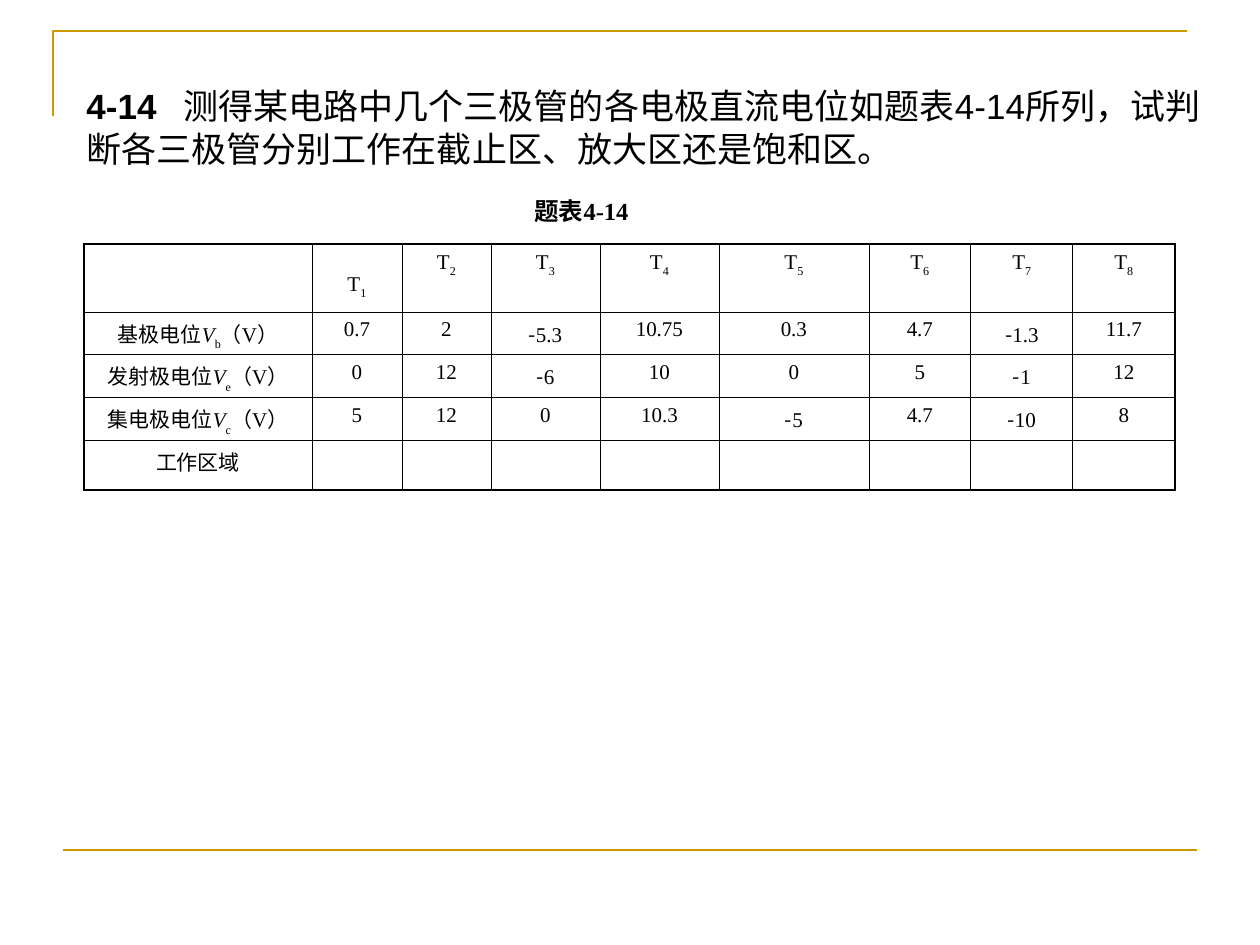
from pptx import Presentation, util as u
from pptx.dml.color import RGBColor
from pptx.enum import shapes, text
from pptx.oxml import parse_xml
from pptx.oxml.ns import nsdecls
from lxml import etree


class Theme:
    gold = RGBColor(0xCC, 0x99, 0x00)
    ink = RGBColor(0, 0, 0)
    sans, serif, chinese = "Arial", "Times New Roman", "Noto Sans CJK SC"
    heading, caption, body = u.Pt(20), u.Pt(14), u.Pt(12)
    rule, inner, outer = u.Pt(1.5), u.Pt(0.45), u.Pt(0.96)


PX = 914400 / 126


def px(*lengths):
    """Turn px into whole EMU."""
    return [round(length * PX) for length in lengths]


def fill_paragraph(para, spans, latin, size):
    """Add (text, style) spans; style is "", "bold", "italic", "sub" or "minus"."""
    for words, style in spans:
        span = para.add_run()
        span.text = words
        if style == "bold":
            span.font.bold = True
        elif style == "italic":
            span.font.italic = True
        elif style == "sub":
            span._r.get_or_add_rPr().set("baseline", "-30000")
        elif style == "minus":
            span.font.name = Theme.chinese
    font = para.font
    font.size, font.name = size, latin
    font.color.rgb = Theme.ink
    font._rPr.append(parse_xml(f'<a:ea {nsdecls("a")} typeface="{Theme.chinese}"/>'))


deck = Presentation()
deck.slide_width, deck.slide_height = px(1260, 945)
page = deck.slides.add_slide(deck.slide_layouts[6])

# Gold corner and bottom rule
builder = page.shapes.build_freeform(53, 116, scale=PX)
builder.add_line_segments([(53, 31), (1187, 31)], close=False)
corner = builder.convert_to_shape()
corner.shadow.inherit = False
corner.fill.background()
bottom_rule = page.shapes.add_connector(shapes.MSO_CONNECTOR.STRAIGHT, *px(63, 850, 1197, 850))
etree.SubElement(bottom_rule._element.spPr,
                 "{http://schemas.openxmlformats.org/drawingml/2006/main}effectLst")
for rule in (corner, bottom_rule):
    rule.line.color.rgb = Theme.gold
    rule.line.width = Theme.rule

# Question
question = page.shapes.add_textbox(*px(74, 76, 1142, 97)).text_frame
question.word_wrap = True
question.margin_top = px(9)[0]
para = question.paragraphs[0]
para.line_spacing = u.Pt(24)
para._p.get_or_add_pPr().append(parse_xml(
    f'<a:tabLst {nsdecls("a")}><a:tab pos="{px(97)[0]}" algn="l"/></a:tabLst>'))
fill_paragraph(para, [
    ("4-14\t", "bold"),
    ("测得某电路中几个三极管的各电极直流电位如题表4-14所列，"
     "试判断各三极管分别工作在截止区、放大区还是饱和区。", ""),
], Theme.sans, Theme.heading)

# Table caption
caption = page.shapes.add_textbox(*px(519, 189, 125, 43)).text_frame
caption.word_wrap = False
caption.vertical_anchor = text.MSO_ANCHOR.MIDDLE
para = caption.paragraphs[0]
para.alignment = text.PP_ALIGN.CENTER
fill_paragraph(para, [("题表4-14", "bold")], Theme.serif, Theme.caption)

# Table of electrode potentials
column_widths = [228, 90, 89, 109, 119, 150, 102, 102, 102]
row_heights = [68, 42, 43, 43, 50]
potentials = [
    ("基极电位", "b", ["0.7", "2", "-5.3", "10.75", "0.3", "4.7", "-1.3", "11.7"]),
    ("发射极电位", "e", ["0", "12", "-6", "10", "0", "5", "-1", "12"]),
    ("集电极电位", "c", ["5", "12", "0", "10.3", "-5", "4.7", "-10", "8"]),
]
rows = [[[]] + [[("T", ""), (str(n), "sub")] for n in range(1, 9)]]
for label, electrode, values in potentials:
    row = [[(label, ""), ("V", "italic"), (electrode, "sub"), ("（V）", "")]]
    for value in values:
        negative = value.startswith("-")
        row.append([("-", "minus"), (value[1:], "")] if negative else [(value, "")])
    rows.append(row)
rows.append([[("工作区域", "")]] + [[]] * 8)

last_row, last_column = len(row_heights) - 1, len(column_widths) - 1
table = page.shapes.add_table(len(row_heights), len(column_widths),
                              *px(84, 244, sum(column_widths), sum(row_heights))).table
table.first_row = table.horz_banding = False
for column, width in zip(table.columns, px(*column_widths)):
    column.width = width
for table_row, height in zip(table.rows, px(*row_heights)):
    table_row.height = height

for r, row in enumerate(rows):
    for c, spans in enumerate(row):
        cell = table.cell(r, c)
        edges = {"lnL": c == 0, "lnR": c == last_column, "lnT": r == 0, "lnB": r == last_row}
        for edge, outside in edges.items():
            width = Theme.outer if outside else Theme.inner
            cell._tc.get_or_add_tcPr().append(parse_xml(
                f'<a:{edge} {nsdecls("a")} w="{width}"><a:solidFill>'
                f'<a:srgbClr val="{Theme.ink}"/></a:solidFill></a:{edge}>'))
        cell.fill.background()
        cell.margin_left = cell.margin_right = u.Inches(0.1)
        cell.margin_top = cell.margin_bottom = u.Inches(0.05)
        para = cell.text_frame.paragraphs[0]
        para.alignment = text.PP_ALIGN.CENTER
        fill_paragraph(para, spans, Theme.serif, Theme.body)
table.cell(0, 1).margin_top = px(29)[0]  # T1 sits lower than its neighbours

deck.save("out.pptx")
